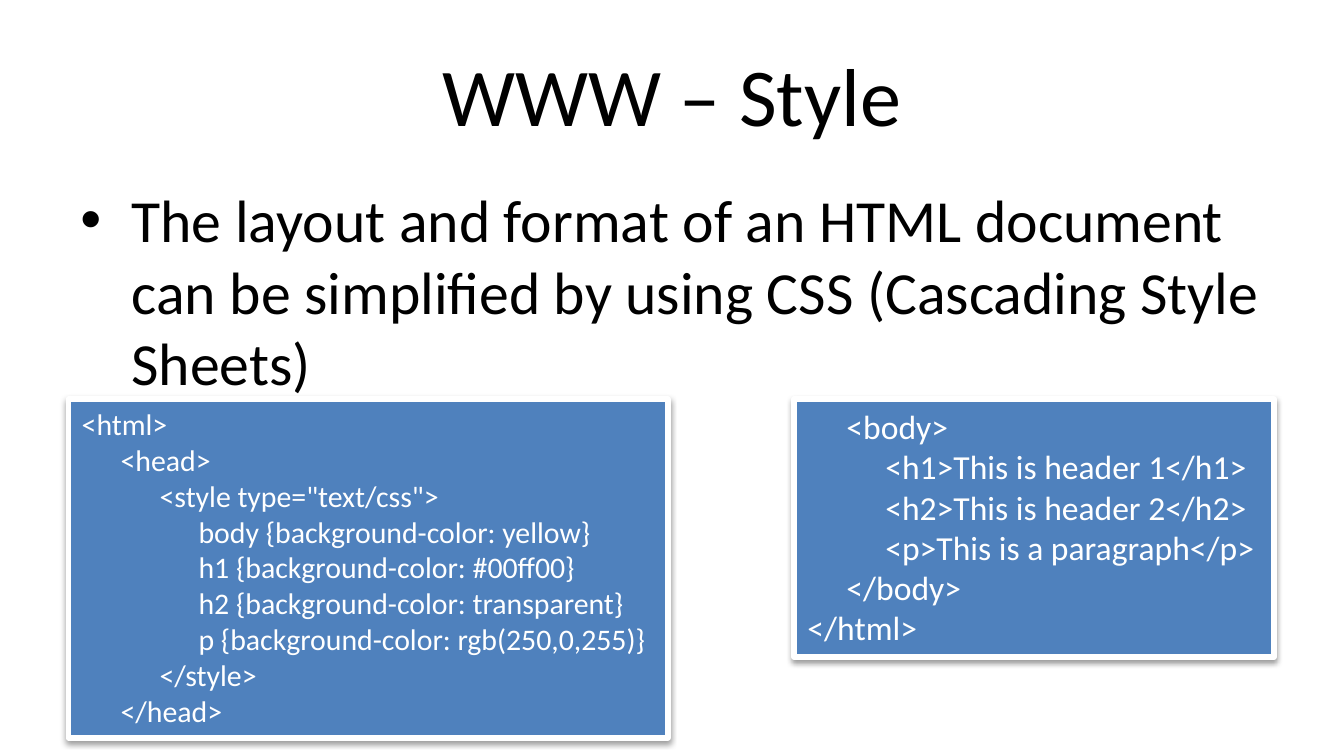
from lxml.etree import SubElement
from pptx import Presentation
from pptx.dml.color import RGBColor
from pptx.enum.shapes import MSO_SHAPE
from pptx.enum.text import MSO_ANCHOR, PP_ALIGN
from pptx.oxml.ns import qn
from pptx.util import Inches, Pt

BLACK = RGBColor(0x00, 0x00, 0x00)
WHITE = RGBColor(0xFF, 0xFF, 0xFF)
BLUE = RGBColor(0x4F, 0x81, 0xBD)
FONT = "Calibri"
CODE_INDENT = 0.29

HEAD_CODE = [
    (0, "<html>"),
    (1, "<head>"),
    (2, '<style type="text/css">'),
    (3, "body {background-color: yellow}"),
    (3, "h1 {background-color: #00ff00}"),
    (3, "h2 {background-color: transparent}"),
    (3, "p {background-color: rgb(250,0,255)}"),
    (2, "</style>"),
    (1, "</head>"),
]
BODY_CODE = [
    (1, "<body>"),
    (2, "<h1>This is header 1</h1>"),
    (2, "<h2>This is header 2</h2>"),
    (2, "<p>This is a paragraph</p>"),
    (1, "</body>"),
    (0, "</html>"),
]


def write(p, text, size, color=BLACK, align=PP_ALIGN.LEFT, indent=0, bullet=None):
    """Fill a paragraph with formatted text."""
    p.alignment = align
    r = p.add_run()
    r.text = text
    r.font.name = FONT
    r.font.size = Pt(size)
    r.font.color.rgb = color
    pPr = p._p.get_or_add_pPr()
    pPr.set("marL", str(Inches(indent)))
    if bullet:
        pPr.set("indent", str(-Inches(indent)))
        SubElement(pPr, qn("a:buFont"), typeface="Arial")
        SubElement(pPr, qn("a:buChar"), char=bullet)


def add_text(s, box, text, anchor=MSO_ANCHOR.TOP, **fmt):
    """Add a wrapped text box with one paragraph."""
    tf = s.shapes.add_textbox(*map(Inches, box)).text_frame
    tf.word_wrap = True
    tf.vertical_anchor = anchor
    write(tf.paragraphs[0], text, **fmt)


def add_shadow(sp):
    """Give a shape a soft shadow below it."""
    sp.shadow.inherit = False
    effects = sp._element.spPr.find(qn("a:effectLst"))
    shadow = SubElement(effects, qn("a:outerShdw"), blurRad=str(Pt(3.1)),
                        dist=str(Pt(1.6)), dir="5400000", rotWithShape="0")
    color = SubElement(shadow, qn("a:srgbClr"), val=str(BLACK))
    SubElement(color, qn("a:alpha"), val="38000")


def add_code(s, box, lines, size):
    """Add a blue panel of indented code lines."""
    sp = s.shapes.add_shape(MSO_SHAPE.RECTANGLE, *map(Inches, box))
    sp.fill.solid()
    sp.fill.fore_color.rgb = BLUE
    sp.line.color.rgb = WHITE
    sp.line.width = Pt(3)
    add_shadow(sp)
    tf = sp.text_frame
    tf.word_wrap = True
    tf.vertical_anchor = MSO_ANCHOR.TOP
    for i, (level, text) in enumerate(lines):
        p = tf.add_paragraph() if i else tf.paragraphs[0]
        write(p, text, size, color=WHITE, indent=level * CODE_INDENT)


def main():
    """Build the slide and save it."""
    prs = Presentation()
    prs.slide_width = Inches(10)
    prs.slide_height = prs.slide_width * 9 // 16
    s = prs.slides.add_slide(prs.slide_layouts[6])
    add_text(s, (0.5, 0.23, 9, 0.94), "WWW – Style", anchor=MSO_ANCHOR.MIDDLE,
             size=44, align=PP_ALIGN.CENTER)
    add_text(s, (0.5, 1.31, 9, 3.71),
             "The layout and format of an HTML document can be simplified "
             "by using CSS (Cascading Style Sheets)",
             size=32, indent=0.38, bullet="•")
    add_code(s, (0.51, 2.97, 4.46, 2.52), HEAD_CODE, 16)
    add_code(s, (5.91, 2.97, 3.57, 1.92), BODY_CODE, 18)
    prs.save("out.pptx")


main()
